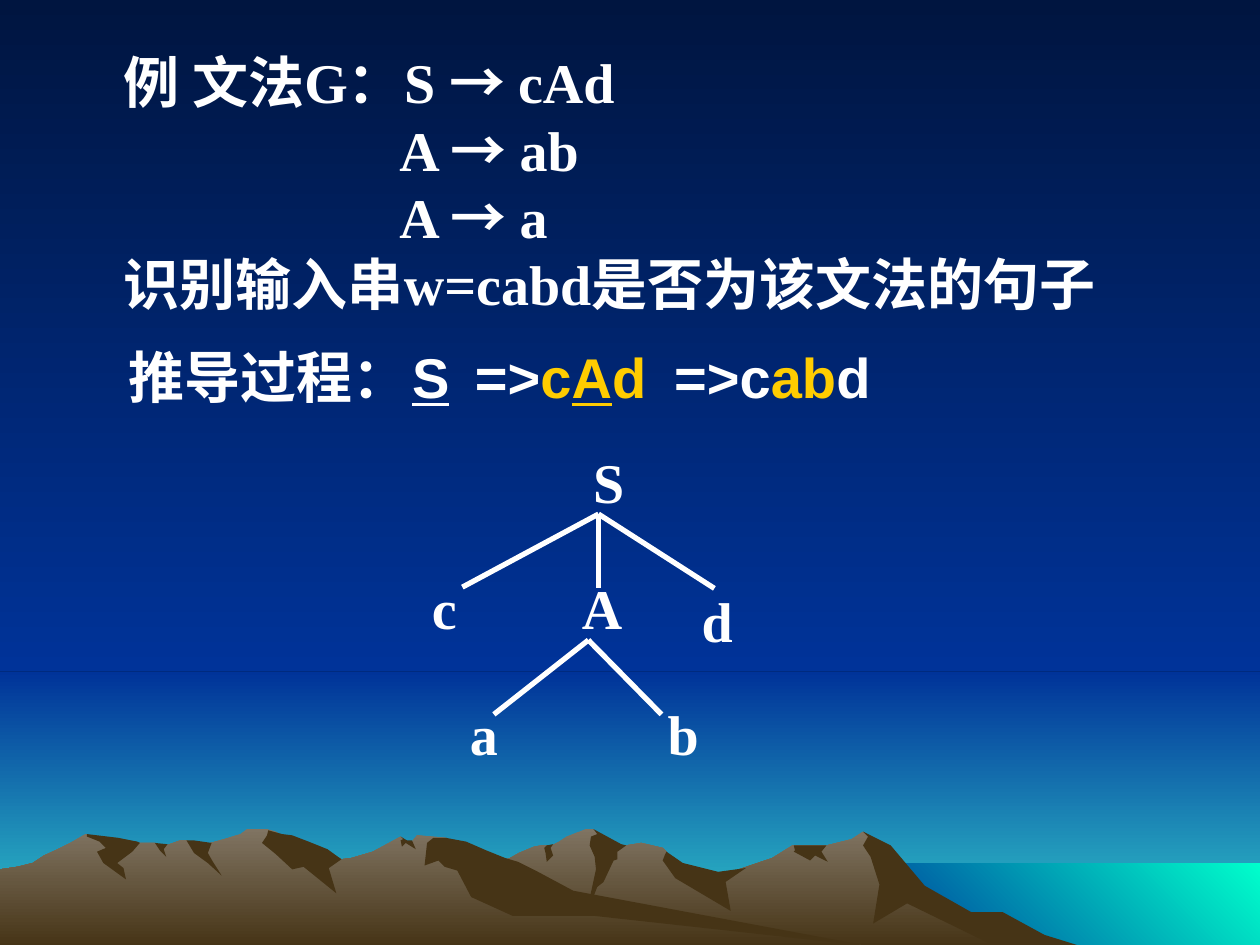
import pptx
import pptx.dml.color
import pptx.enum.shapes
import pptx.enum.text
import pptx.oxml
import pptx.oxml.ns
import pptx.util

PX = 9144
WHITE = pptx.dml.color.RGBColor(0xFF, 0xFF, 0xFF)
YELLOW = pptx.dml.color.RGBColor(0xFF, 0xCC, 0x00)
NIGHT = pptx.dml.color.RGBColor(0x00, 0x15, 0x40)
BLUE = pptx.dml.color.RGBColor(0x00, 0x33, 0x99)
HORIZON = pptx.dml.color.RGBColor(0x33, 0xCC, 0xCC)
SEA = pptx.dml.color.RGBColor(0x00, 0xFF, 0xCC)
ROCK = pptx.dml.color.RGBColor(0x80, 0x74, 0x62)
EARTH = pptx.dml.color.RGBColor(0x46, 0x34, 0x16)
SERIF, SANS, CJK = "Times New Roman", "Arial", "Noto Sans CJK SC"
DOWN, UP_RIGHT = 270, 45

FAR_RIDGE = [
    (802, 82), (778, 69), (764, 65), (723, 40), (702, 13), (685, 2), (676, 8), (656, 13),
    (629, 13), (613, 23), (566, 39), (536, 32), (529, 18), (526, 15), (509, 11), (497, 13),
    (486, 15), (474, 3), (471, 0), (465, 0), (450, 6), (444, 10), (438, 13), (430, 13),
    (424, 14), (412, 19), (405, 23), (394, 27), (355, 40), (327, 51), (277, 81), (258, 93),
    (821, 93)]
FAR_SHADOWS = [
    [(796, 66), (771, 66), (734, 45), (707, 13), (685, 2), (689, 6), (685, 13), (691, 22),
     (698, 44), (693, 75), (720, 59), (792, 94), (858, 93), (829, 84)],
    [(471, 0), (474, 4), (469, 6), (468, 13), (472, 22), (473, 32), (465, 69), (474, 46),
     (479, 42), (487, 25), (490, 24), (490, 18), (497, 13), (493, 12)],
    [(529, 18), (528, 20), (526, 25), (536, 39), (580, 65), (576, 42), (592, 31), (570, 34),
     (542, 27)],
    [(650, 13), (630, 13), (631, 17), (630, 18), (643, 25), (647, 21), (657, 26), (652, 18),
     (656, 13)],
    [(433, 19), (432, 15), (434, 13), (439, 12), (437, 15), (439, 21), (434, 26)]]
NEAR_RIDGE = [
    (690, 93), (667, 90), (432, 54), (354, 7), (331, 5), (327, 10), (323, 10), (318, 6),
    (296, 18), (279, 23), (271, 24), (260, 18), (236, 23), (223, 5), (219, 2), (212, 0),
    (196, 0), (191, 4), (178, 8), (160, 13), (148, 9), (143, 9), (132, 13), (128, 13),
    (123, 11), (111, 11), (94, 13), (68, 4), (56, 11), (46, 16), (35, 21), (26, 27),
    (14, 30), (0, 32), (0, 93)]
NEAR_SHADOWS = [
    [(212, 5), (208, 11), (219, 20), (232, 32), (241, 30), (267, 51), (261, 31), (271, 24),
     (260, 16), (245, 10), (232, 5), (224, 4), (213, 1)],
    [(370, 10), (354, 7), (344, 7), (339, 11), (337, 29), (348, 25), (353, 30), (363, 33),
     (374, 54), (407, 69), (472, 69), (690, 93), (455, 49), (427, 34), (411, 26), (401, 23),
     (386, 17)],
    [(318, 9), (320, 8), (318, 6), (323, 9), (327, 9), (330, 16), (322, 11), (319, 14)],
    [(154, 9), (168, 11), (165, 19), (169, 26), (176, 37), (165, 27), (154, 19), (148, 9)],
    [(133, 12), (130, 16), (132, 22), (127, 17), (123, 11)],
    [(109, 10), (111, 11), (105, 18), (93, 27), (98, 31), (100, 40), (82, 27), (77, 18),
     (84, 15), (79, 10), (69, 6), (69, 4), (94, 7)]]


def px(*lengths):
    """Turn px lengths into EMU."""
    return [length * PX for length in lengths]


def fade(fill, first, last, angle):
    """Give a fill a two-colour linear gradient."""
    fill.gradient()
    fill.gradient_angle = angle
    for stop, colour in zip(fill.gradient_stops, (first, last)):
        stop.color.rgb = colour


def add_band(page, box, first, last, angle):
    """Add a gradient rectangle without outline."""
    band = page.shapes.add_shape(pptx.enum.shapes.MSO_SHAPE.RECTANGLE, *px(*box))
    band.shadow.inherit = False
    band.line.fill.background()
    fade(band.fill, first, last, angle)


def add_outline(group, left, top, points):
    """Add a closed outline with its points relative to left and top."""
    builder = group.shapes.build_freeform(*points[0], scale=PX)
    builder.add_line_segments(points[1:], close=True)
    outline = builder.convert_to_shape(*px(left, top))
    outline.shadow.inherit = False
    outline.line.fill.background()
    return outline


def add_mountains(page, left, top):
    """Draw the far and near ridges with their shaded slopes."""
    for ridge, shadows in ((FAR_RIDGE, FAR_SHADOWS), (NEAR_RIDGE, NEAR_SHADOWS)):
        group = page.shapes.add_group_shape()
        fade(add_outline(group, left, top, ridge).fill, ROCK, EARTH, DOWN)
        for points in shadows:
            slope = add_outline(group, left, top, points)
            slope.fill.solid()
            slope.fill.fore_color.rgb = EARTH


def add_span(para, text, face=SERIF, colour=WHITE, underline=None):
    """Append a bold 32 pt run to a paragraph."""
    span = para.add_run()
    span.text = text
    span.font.size = pptx.util.Pt(32)
    span.font.bold = True
    span.font.underline = underline
    span.font.color.rgb = colour
    span.font.name = face
    east = pptx.oxml.parse_xml(
        f'<a:ea {pptx.oxml.ns.nsdecls("a")} typeface="{CJK}"/>')
    span.font._element.append(east)


def place_grammar(body, box):
    """Fill the body placeholder with the grammar and the question."""
    body.left, body.top, body.width, body.height = px(*box)
    frame = body.text_frame
    frame.auto_size = pptx.enum.text.MSO_AUTO_SIZE.NONE
    frame.word_wrap = True
    lines = [(38, "例 文法G：S ", "cAd"), (257, "A ", "ab"), (257, "A ", "a"),
             (38, "识别输入串w=cabd是否为该文法的句子", None)]
    for number, (indent, start, product) in enumerate(lines):
        para = frame.add_paragraph() if number else frame.paragraphs[0]
        properties = para._p.get_or_add_pPr()
        properties.set("marL", str(indent * PX))
        properties.set("indent", "0")
        properties.append(pptx.oxml.parse_xml(f'<a:buNone {pptx.oxml.ns.nsdecls("a")}/>'))
        para.space_before = pptx.util.Pt(0)
        add_span(para, start)
        if product:
            add_span(para, "→ ", CJK)
            add_span(para, product)


def add_derivation(page, left, top):
    """Add the derivation steps in one row."""
    steps = [(0, 243, [("推导过程：", SERIF)]),
             (225, 50, [("S", SANS, WHITE, True)]),
             (275, 156, [("=>", SANS), ("c", SANS, YELLOW), ("A", SANS, YELLOW, True),
                         ("d", SANS, YELLOW)]),
             (433, 176, [("=>c", SANS), ("ab", SANS, YELLOW), ("d", SANS)])]
    for x, width, spans in steps:
        box = page.shapes.add_textbox(*px(left + x, top, width, 63))
        box.text_frame.word_wrap = False
        para = box.text_frame.paragraphs[0]
        para.alignment = pptx.enum.text.PP_ALIGN.CENTER
        for span in spans:
            add_span(para, *span)


def add_tree(page, left, top):
    """Draw the syntax tree: node labels and the branches between them."""
    nodes = [("S", 128, 0), ("c", 0, 100), ("A", 119, 100), ("d", 214, 111),
             ("a", 30, 200), ("b", 187, 200)]
    for label, x, y in nodes:
        box = page.shapes.add_textbox(*px(left + x, top + y, 89, 67))
        box.text_frame.word_wrap = True
        add_span(box.text_frame.paragraphs[0], label)
    branches = [((142, 58), [(34, 116), (142, 117), (234, 117)]),
                ((134, 158), [(59, 217), (192, 217)])]
    for (x, y), ends in branches:
        for end_x, end_y in ends:
            branch = page.shapes.add_connector(
                pptx.enum.shapes.MSO_CONNECTOR.STRAIGHT,
                *px(left + x, top + y, left + end_x, top + end_y))
            branch.line.color.rgb = WHITE
            branch.line.width = pptx.util.Pt(3)
            branch._element.spPr.append(
                pptx.oxml.parse_xml(f'<a:effectLst {pptx.oxml.ns.nsdecls("a")}/>'))


def main():
    """Build the slide and save it."""
    deck = pptx.Presentation()
    deck.slide_width, deck.slide_height = px(1000, 750)
    page = deck.slides.add_slide(deck.slide_layouts[1])
    title, body = page.placeholders
    title.element.getparent().remove(title.element)
    fade(page.background.fill, NIGHT, BLUE, DOWN)
    add_band(page, (0, 533, 1000, 217), BLUE, HORIZON, DOWN)
    add_band(page, (0, 0, 1000, 533), NIGHT, BLUE, DOWN)
    add_band(page, (683, 685, 317, 67), BLUE, SEA, UP_RIGHT)
    add_mountains(page, 0, 658)
    body.element.getparent().append(body.element)
    place_grammar(body, (50, 33, 900, 233))
    add_derivation(page, 92, 267)
    add_tree(page, 333, 350)
    deck.save("out.pptx")


if __name__ == "__main__":
    main()
